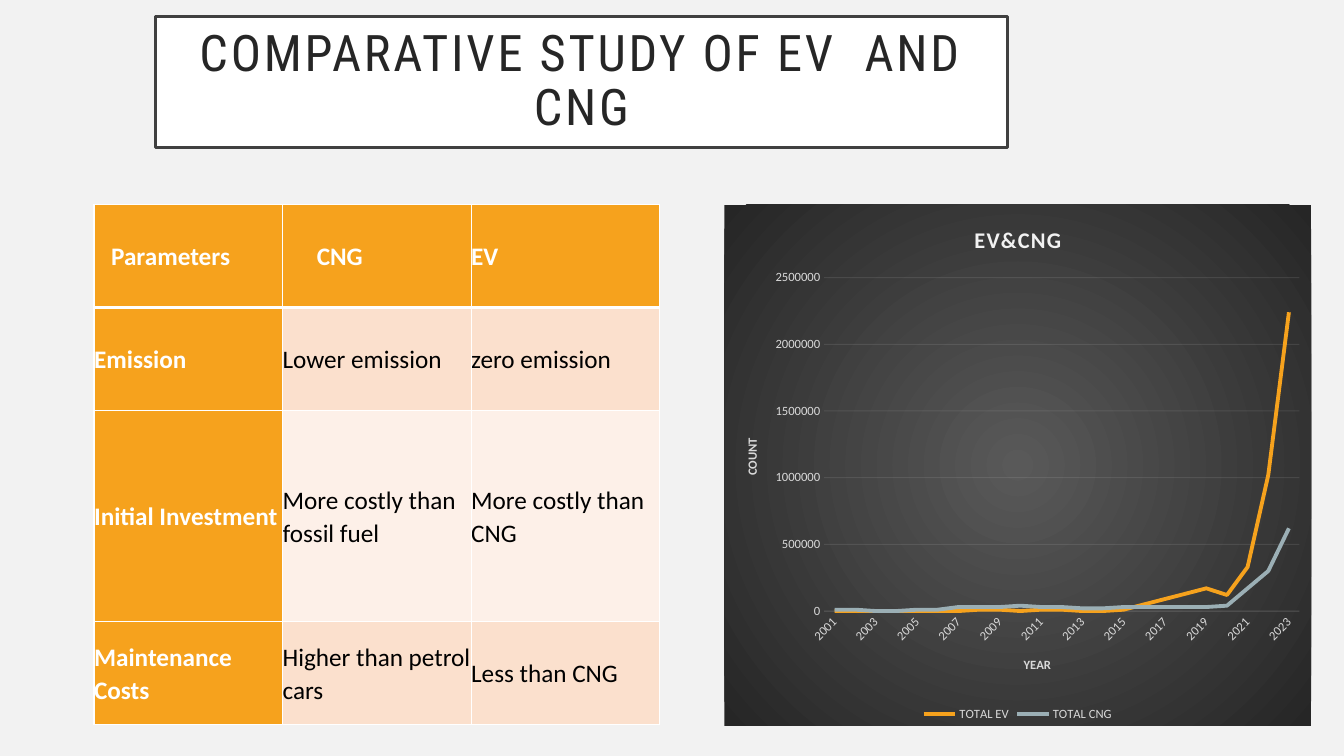
from pptx import Presentation
from pptx.chart.data import CategoryChartData
from pptx.dml.color import RGBColor
from pptx.enum.chart import XL_CHART_TYPE, XL_LEGEND_POSITION, XL_TICK_MARK
from pptx.enum.shapes import MSO_SHAPE
from pptx.enum.text import MSO_ANCHOR, PP_ALIGN
from pptx.oxml import parse_xml
from pptx.oxml.ns import nsdecls, qn
from pptx.oxml.xmlchemy import OxmlElement
from pptx.util import Pt

LINE_CHART = XL_CHART_TYPE.LINE
LEGEND_BOTTOM = XL_LEGEND_POSITION.BOTTOM
NO_TICK = XL_TICK_MARK.NONE
RECTANGLE = MSO_SHAPE.RECTANGLE
MIDDLE = MSO_ANCHOR.MIDDLE
CENTER = PP_ALIGN.CENTER

# Content
TITLE = "COMPARATIVE STUDY OF EV  AND CNG"
TABLE_ROWS = [
    ("Parameters", "CNG", "EV"),
    ("Emission", "Lower emission", "zero emission"),
    ("Initial Investment", "More costly than fossil fuel", "More costly than CNG"),
    ("Maintenance Costs", "Higher than petrol cars", "Less than CNG"),
]
ROW_HEIGHTS = [73.5, 73.5, 151, 73.5]
COLUMN_WIDTH = 134.7
HEADER_INDENTS = [12.2, 24.4, 0]
CHART_TITLE, YEAR_TITLE, COUNT_TITLE = "EV&CNG", "YEAR", "COUNT"
YEARS = [str(year) for year in range(2001, 2024)]
# Vehicle counts in units of 10000
COUNT_UNIT = 10000
COUNTS = {
    "TOTAL EV": [0, 0, 0, 0, 0, 0, 0, 1, 1, 0, 1, 1, 0, 0, 1, 5, 9, 13, 17, 12,
                 33, 102, 224],
    "TOTAL CNG": [1, 1, 0, 0, 1, 1, 3, 3, 3, 4, 3, 3, 2, 2, 3, 3, 3, 3, 3, 4,
                  17, 30, 62],
}

THEME = {
    "background": "F2F2F2", "white": "FFFFFF", "black": "000000",
    "title_line": "404040", "title_text": "262626",
    "orange": "F6A21D", "bands": ("FDF0E8", "FBE0CD"),
    "series": ("F6A21D", "9BAFB5"),
    "chart_center": "595959", "chart_edge": "262626",
    "chart_title": "F2F2F2", "chart_text": "D9D9D9", "grid": "F2F2F2",
    "title_font": "Roboto Condensed", "body_font": "Calibri",
    "title_size": 36, "table_size": 18, "chart_title_size": 16, "chart_size": 9,
}


def color(name):
    return RGBColor.from_string(THEME.get(name, name))


def style_font(font, size, name, bold=False, face="body_font"):
    font.name = THEME[face]
    font.size = Pt(THEME[size])
    font.bold = bold
    font.color.rgb = color(name)


def add_borders(cell, widths):
    for side, width in zip("LRTB", widths):
        cell._tc.get_or_add_tcPr().append(parse_xml(
            f'<a:ln{side} {nsdecls("a")} w="{Pt(width)}"><a:solidFill>'
            f'<a:srgbClr val="{THEME["white"]}"/></a:solidFill></a:ln{side}>'))


def faint_line(line):
    line.width = Pt(0.75)
    line.color.rgb = color("grid")
    alpha = OxmlElement("a:alpha")
    alpha.set("val", "10000")
    line._get_or_add_ln().find(".//" + qn("a:srgbClr")).append(alpha)


def set_title(owner, text, size, name):
    frame = owner.text_frame
    frame.text = text
    run = frame.paragraphs[0].runs[0]
    style_font(run.font, size, name, bold=True)
    return run


def add_title(slide):
    box = slide.shapes.add_shape(RECTANGLE, Pt(111), Pt(12), Pt(608.5), Pt(93.5))
    box.shadow.inherit = False
    box.fill.solid()
    box.fill.fore_color.rgb = color("white")
    box.line.color.rgb = color("title_line")
    box.line.width = Pt(2.5)
    frame = box.text_frame
    frame.word_wrap = True
    frame.vertical_anchor = MIDDLE
    frame.margin_left = frame.margin_right = Pt(14.4)
    frame.margin_top = frame.margin_bottom = Pt(14.4)
    frame.text = TITLE
    para = frame.paragraphs[0]
    para.alignment = CENTER
    para.line_spacing = 0.9
    span = para.runs[0]
    style_font(span.font, "title_size", "title_text", face="title_font")
    span._r.get_or_add_rPr().set("spc", "200")


def add_comparison_table(slide):
    column_count = len(TABLE_ROWS[0])
    table = slide.shapes.add_table(
        len(TABLE_ROWS), column_count, Pt(67.2), Pt(146.2),
        Pt(COLUMN_WIDTH * column_count), Pt(sum(ROW_HEIGHTS))).table
    for column in table.columns:
        column.width = Pt(COLUMN_WIDTH)
    for r, (texts, height) in enumerate(zip(TABLE_ROWS, ROW_HEIGHTS)):
        table.rows[r].height = Pt(height)
        for c, text in enumerate(texts):
            cell = table.cell(r, c)
            heading = r == 0 or c == 0
            add_borders(cell, (1, 1, 3 if r == 1 else 1, 3 if r == 0 else 1))
            cell.fill.solid()
            cell.fill.fore_color.rgb = color("orange" if heading else THEME["bands"][r % 2])
            cell.vertical_anchor = MIDDLE
            cell.margin_left = Pt(HEADER_INDENTS[c] if r == 0 else 0)
            cell.margin_right = cell.margin_top = cell.margin_bottom = 0
            cell.text = text
            para = cell.text_frame.paragraphs[0]
            para.line_spacing = 1.07
            para.space_after = Pt(8)
            style_font(para.runs[0].font, "table_size",
                       "white" if heading else "black", bold=heading)


def add_count_chart(slide):
    data = CategoryChartData(number_format="General")
    data.categories = YEARS
    for name, counts in COUNTS.items():
        data.add_series(name, [count * COUNT_UNIT for count in counts])
    chart = slide.shapes.add_chart(
        LINE_CHART, Pt(517.5), Pt(146.2), Pt(419), Pt(372.2), data).chart
    style_font(chart.font, "chart_size", "chart_text")
    span = set_title(chart.chart_title, CHART_TITLE, "chart_title_size", "chart_title")
    span._r.get_or_add_rPr().set("spc", "100")
    chart.chart_title.include_in_layout = False

    # Series
    plot = chart.plots[0]
    plot.vary_by_categories = False
    for series, series_color in zip(plot.series, THEME["series"]):
        series.smooth = False
        series.format.line.width = Pt(2.75)
        series.format.line.color.rgb = color(series_color)

    # Axes
    year_axis, count_axis = chart.category_axis, chart.value_axis
    for axis, text in ((year_axis, YEAR_TITLE), (count_axis, COUNT_TITLE)):
        set_title(axis.axis_title, text, "chart_size", "chart_text")
        axis.major_tick_mark = axis.minor_tick_mark = NO_TICK
        style_font(axis.tick_labels.font, "chart_size", "chart_text")
    faint_line(year_axis.format.line)
    year_axis._element.find(qn("c:txPr")).find(qn("a:bodyPr")).set("rot", "-2700000")
    skip = OxmlElement("c:tickLblSkip")
    skip.set("val", "2")
    year_axis._element.find(qn("c:noMultiLvlLbl")).addprevious(skip)
    count_axis.minimum_scale, count_axis.maximum_scale = 0, 2500000
    count_axis.major_unit = 500000
    count_axis.format.line.fill.background()
    faint_line(count_axis.major_gridlines.format.line)

    # Legend
    chart.has_legend = True
    chart.legend.position = LEGEND_BOTTOM
    chart.legend.include_in_layout = False
    style_font(chart.legend.font, "chart_size", "chart_text")

    # Plot area position, as shares of the chart
    plot_area = chart._chartSpace.chart.plotArea
    for layout in plot_area.findall(qn("c:layout")):
        plot_area.remove(layout)
    shares = "".join(f'<c:{key} val="{share}"/>' for key, share in
                     (("x", 0.17), ("y", 0.14), ("w", 0.81), ("h", 0.64)))
    plot_area.insert(0, parse_xml(
        f'<c:layout {nsdecls("c")}><c:manualLayout><c:layoutTarget val="inner"/>'
        f'<c:xMode val="edge"/><c:yMode val="edge"/>{shares}'
        '</c:manualLayout></c:layout>'))

    # Radial background
    chart._chartSpace.chart.addnext(parse_xml(
        f'<c:spPr {nsdecls("c", "a")}><a:gradFill><a:gsLst>'
        f'<a:gs pos="0"><a:srgbClr val="{THEME["chart_center"]}"/></a:gs>'
        f'<a:gs pos="100000"><a:srgbClr val="{THEME["chart_edge"]}"/></a:gs></a:gsLst>'
        '<a:path path="circle"><a:fillToRect l="50000" t="50000" r="50000" b="50000"/>'
        '</a:path></a:gradFill><a:ln><a:noFill/></a:ln></c:spPr>'))


def main():
    deck = Presentation()
    deck.slide_width, deck.slide_height = Pt(960), Pt(540)
    page = deck.slides.add_slide(deck.slide_layouts[6])
    page.background.fill.solid()
    page.background.fill.fore_color.rgb = color("background")
    add_title(page)
    add_comparison_table(page)
    add_count_chart(page)
    deck.save("out.pptx")


if __name__ == "__main__":
    main()
